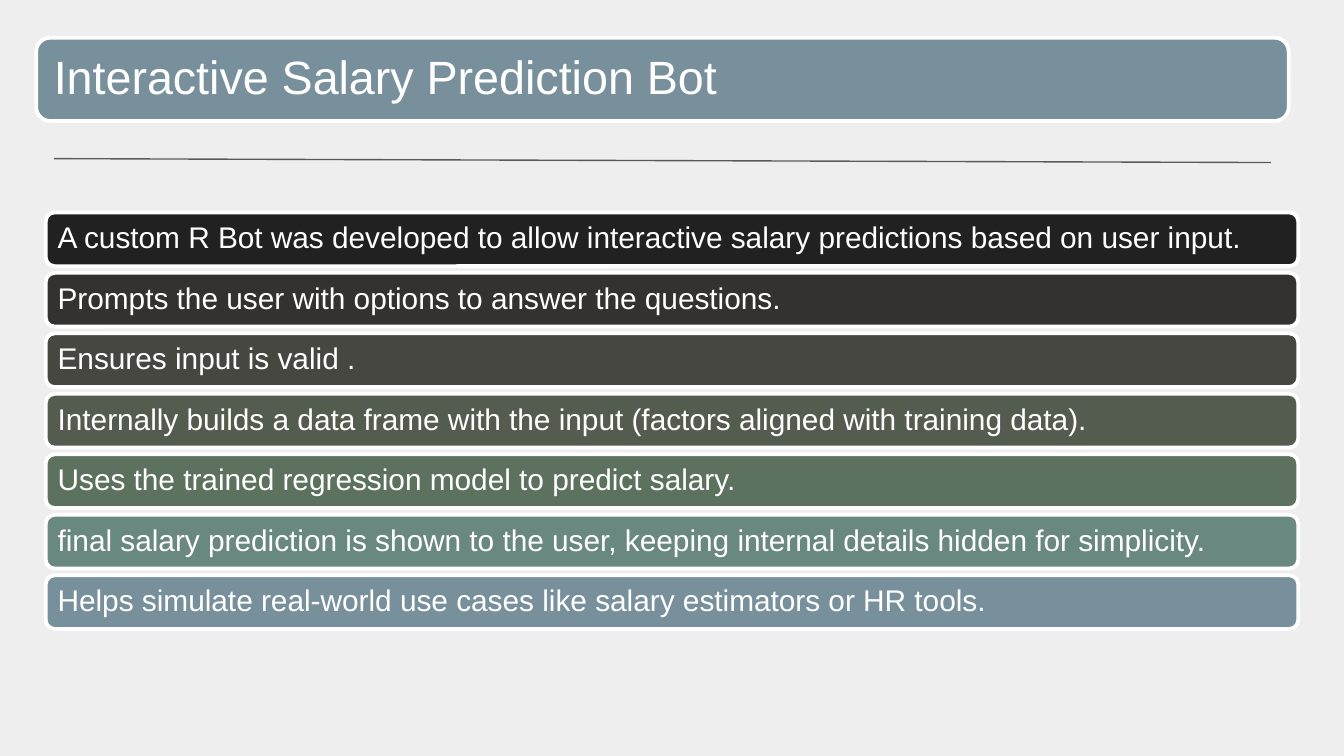
"""Build the slide on the interactive salary prediction bot."""
from dataclasses import dataclass

from lxml import etree
from pptx import Presentation, util as u
from pptx.dml.color import RGBColor
from pptx.enum import shapes as s, text as t
from pptx.oxml import ns

HUES = {
    "page": "EEEEEE", "white": "FFFFFF", "rule": "595959",
    "black": "212121", "coal": "343131", "olive": "474741",
    "moss": "545C4F", "green": "5C725F", "teal": "698880", "blue": "78909C",
}


@dataclass(frozen=True)
class Box:
    left: float
    top: float
    width: float
    height: float

    def points(self) -> tuple:
        return tuple(u.Pt(v) for v in (self.left, self.top, self.width, self.height))


@dataclass(frozen=True)
class Step:
    hue: str
    words: str


STEPS = [
    Step("black", "A custom R Bot was developed to allow interactive salary predictions based on user input."),
    Step("coal", "Prompts the user with options to answer the questions."),
    Step("olive", "Ensures input is valid ."),
    Step("moss", "Internally builds a data frame with the input (factors aligned with training data)."),
    Step("green", "Uses the trained regression model to predict salary."),
    Step("teal", "final salary prediction is shown to the user, keeping internal details hidden for simplicity."),
    Step("blue", "Helps simulate real-world use cases like salary estimators or HR tools."),
]
HEAD = Box(19.4, 20.2, 671, 44.6)
FIRST = Box(24.5, 113.8, 671, 28.8)
PITCH = 32.4


def color(name: str) -> RGBColor:
    return RGBColor.from_string(HUES[name])


def write(shape, words: str, *, size: float, inset: float, hue: str = "white") -> None:
    frame = shape.text_frame
    frame.word_wrap = True
    frame.auto_size = t.MSO_AUTO_SIZE.NONE
    frame.vertical_anchor = t.MSO_ANCHOR.MIDDLE
    frame.margin_left = frame.margin_right = u.Pt(inset)
    frame.margin_top = frame.margin_bottom = 0
    frame.text = words
    para = frame.paragraphs[0]
    para.alignment = t.PP_ALIGN.LEFT
    para.line_spacing = 0.9
    font = para.runs[0].font
    font.name, font.size = "Arial", u.Pt(size)
    font.color.rgb = color(hue)


def add_bar(slide, box: Box, hue: str):
    bar = slide.shapes.add_shape(s.MSO_SHAPE.ROUNDED_RECTANGLE, *box.points())
    bar.shadow.inherit = False
    bar.fill.solid()
    bar.fill.fore_color.rgb = color(hue)
    bar.line.color.rgb = color("white")
    bar.line.width = u.Pt(2)
    return bar


def add_rule(slide, start: tuple, end: tuple) -> None:
    ends = [u.Pt(v) for v in (*start, *end)]
    rule = slide.shapes.add_connector(s.MSO_CONNECTOR.STRAIGHT, *ends)
    rule.line.color.rgb = color("rule")
    rule.line.width = u.Pt(0.75)
    etree.SubElement(rule.element.spPr, ns.qn("a:effectLst"))


def add_title(slide, words: str) -> None:
    bar = add_bar(slide, HEAD, "blue")
    title = slide.shapes.title
    title.left, title.top, title.width, title.height = Box(21.6, 22.3, 666.7, 40.3).points()
    bar.element.addnext(title.element)
    write(title, words, size=25, inset=7.2)


def add_steps(slide) -> None:
    for i, step in enumerate(STEPS):
        box = Box(FIRST.left, FIRST.top + i * PITCH, FIRST.width, FIRST.height)
        write(add_bar(slide, box, step.hue), step.words, size=16, inset=5)


def main() -> None:
    deck = Presentation()
    deck.slide_width, deck.slide_height = u.Pt(720), u.Pt(405)
    slide = deck.slides.add_slide(deck.slide_layouts.get_by_name("Title Only"))
    slide.background.fill.solid()
    slide.background.fill.fore_color.rgb = color("page")
    add_title(slide, "Interactive Salary Prediction Bot")
    add_steps(slide)
    add_rule(slide, (28.8, 85), (681, 87.1))
    deck.save("out.pptx")


if __name__ == "__main__":
    main()
